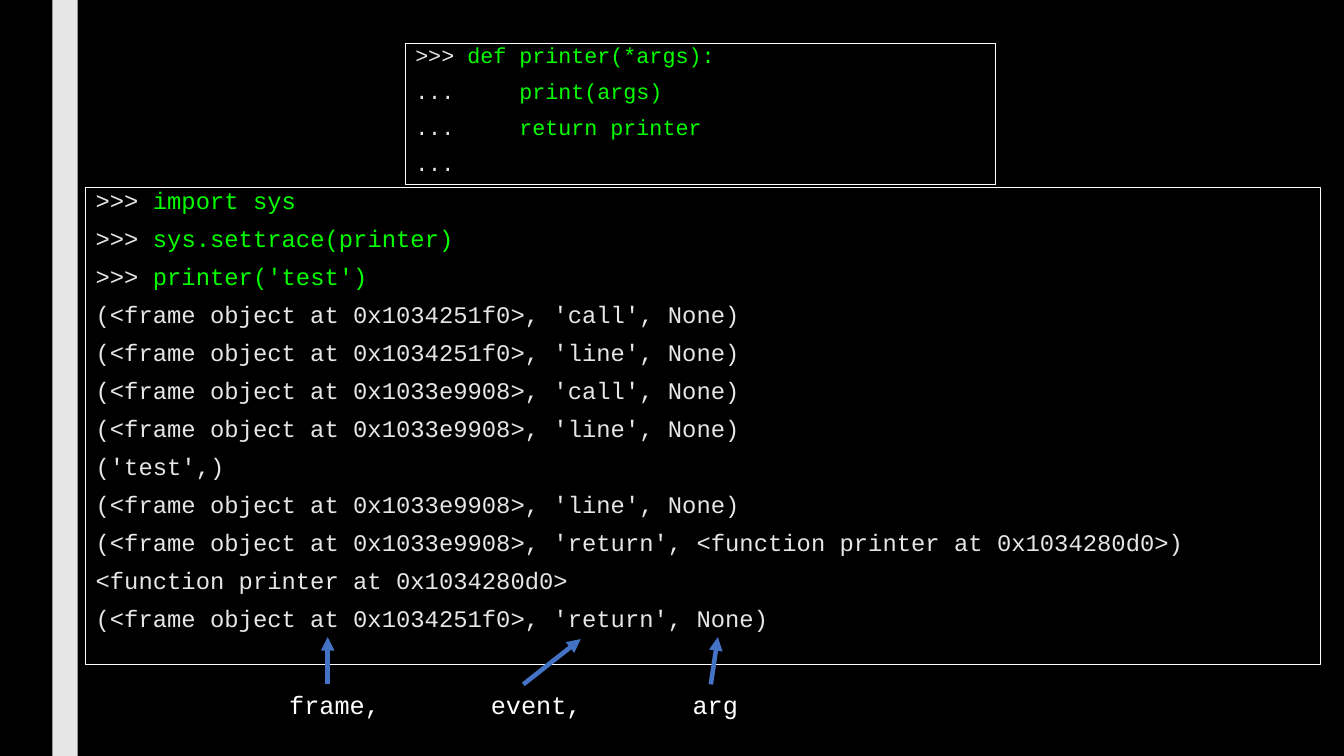
from pptx import Presentation
from pptx.dml.color import RGBColor
from pptx.enum.shapes import MSO_CONNECTOR as LINE, MSO_SHAPE as SHAPE
from pptx.enum.text import MSO_ANCHOR as ANCHOR, PP_ALIGN as ALIGN
from pptx.oxml.ns import qn
from pptx.util import Inches, Pt
from lxml.etree import SubElement

MONO = "Courier New"
BLACK, WHITE, GREY = "000000", "FFFFFF", "E7E6E6"
GREEN, BLUE = "05FF00", "4472C4"
TAB = " \u00a0 \u00a0 "  # code indent after the prompt
PARA = dict(line_spacing=0.74, space_before=Pt(10), space_after=Pt(2),
            alignment=ALIGN.LEFT)


def color(hue):
    return RGBColor.from_string(hue)


def style(obj, form):
    for key, val in form.items():
        setattr(obj, key, val)


def add_run(para, text, size, hue):
    run = para.add_run()
    run.text = text
    style(run.font, dict(name=MONO, size=Pt(size)))
    run.font.color.rgb = color(hue)


def add_rect(slide, box, fill=None, line=None):
    rect = slide.shapes.add_shape(SHAPE.RECTANGLE, *map(Inches, box))
    rect.shadow.inherit = False
    if fill:
        rect.fill.solid()
        rect.fill.fore_color.rgb = color(fill)
    else:
        rect.fill.background()
    if line:
        rect.line.color.rgb = color(line)
        rect.line.width = Pt(0.75)
    else:
        rect.line.fill.background()
    return rect


def add_code(slide, box, size, lines, fill=None):
    """Framed console: each line is a grey part and an optional green part."""
    frame = add_rect(slide, box, fill, WHITE).text_frame
    style(frame, dict(word_wrap=True, vertical_anchor=ANCHOR.TOP))
    for i, (grey, green) in enumerate(lines):
        para = frame.add_paragraph() if i else frame.paragraphs[0]
        style(para, PARA)
        add_run(para, grey, size, GREY)
        if green:
            add_run(para, green, size, GREEN)


def add_arrow(slide, start, end):
    arrow = slide.shapes.add_connector(LINE.STRAIGHT, *map(Inches, start + end))
    arrow.line.color.rgb = color(BLUE)
    arrow.line.width = Pt(3.25)
    SubElement(arrow.line._get_or_add_ln(), qn("a:tailEnd"), type="triangle")
    SubElement(arrow._element.spPr, qn("a:effectLst"))


def add_labels(slide, box, names, tips, gap):
    """Argument names on tab stops, with arrows rising from the box top."""
    left, top = box[:2]
    frame = slide.shapes.add_textbox(*map(Inches, box)).text_frame
    frame.word_wrap = False
    para = frame.paragraphs[0]
    add_run(para, ", \t".join(names), 18, WHITE)
    stops = SubElement(para._p.get_or_add_pPr(), qn("a:tabLst"))
    for i in range(1, len(names)):
        SubElement(stops, qn("a:tab"), pos=str(Inches(i * gap)), algn="l")
    for foot, dx, rise in tips:
        x = left + foot
        add_arrow(slide, (x, top), (x + dx, top - rise))


def call(frame, event, arg="None"):
    return f"(<frame object at {frame}>, '{event}', {arg})", ""


deck = Presentation()
style(deck, dict(slide_width=Inches(13.33), slide_height=Inches(7.5)))
page = deck.slides.add_slide(deck.slide_layouts[6])
page.background.fill.solid()
page.background.fill.fore_color.rgb = color(BLACK)

# Side bar
add_rect(page, (0.52, 0, 0.25, 7.5), GREY)

# Trace session
OUTER, INNER = "0x1034251f0", "0x1033e9908"
FUNC = "<function printer at 0x1034280d0>"
add_code(page, (0.85, 1.86, 12.25, 4.73), 17, [
    (">>>", " import sys"),
    (">>> ", "sys.settrace(printer)"),
    (">>>", " printer('test')"),
    *[call(f, e) for f in (OUTER, INNER) for e in ("call", "line")],
    ("('test',)", ""),
    call(INNER, "line"),
    call(INNER, "return", FUNC),
    (FUNC, ""),
    call(OUTER, "return"),
])

# Function definition
add_code(page, (4.02, 0.43, 5.85, 1.4), 15.5, [
    (">>>", " def printer(*args):"),
    ("...", TAB + "print(args)"),
    ("...", TAB + "return printer"),
    ("...", ""),
], BLACK)

# Argument labels: foot from the left, sideways shift, rise
add_labels(page, (2.77, 6.79, 4.85, 0.4), ("frame", "event", "arg"),
           [(0.48, 0, 0.47), (2.42, 0.57, 0.45), (4.28, 0.07, 0.47)], 2)

deck.save("out.pptx")
